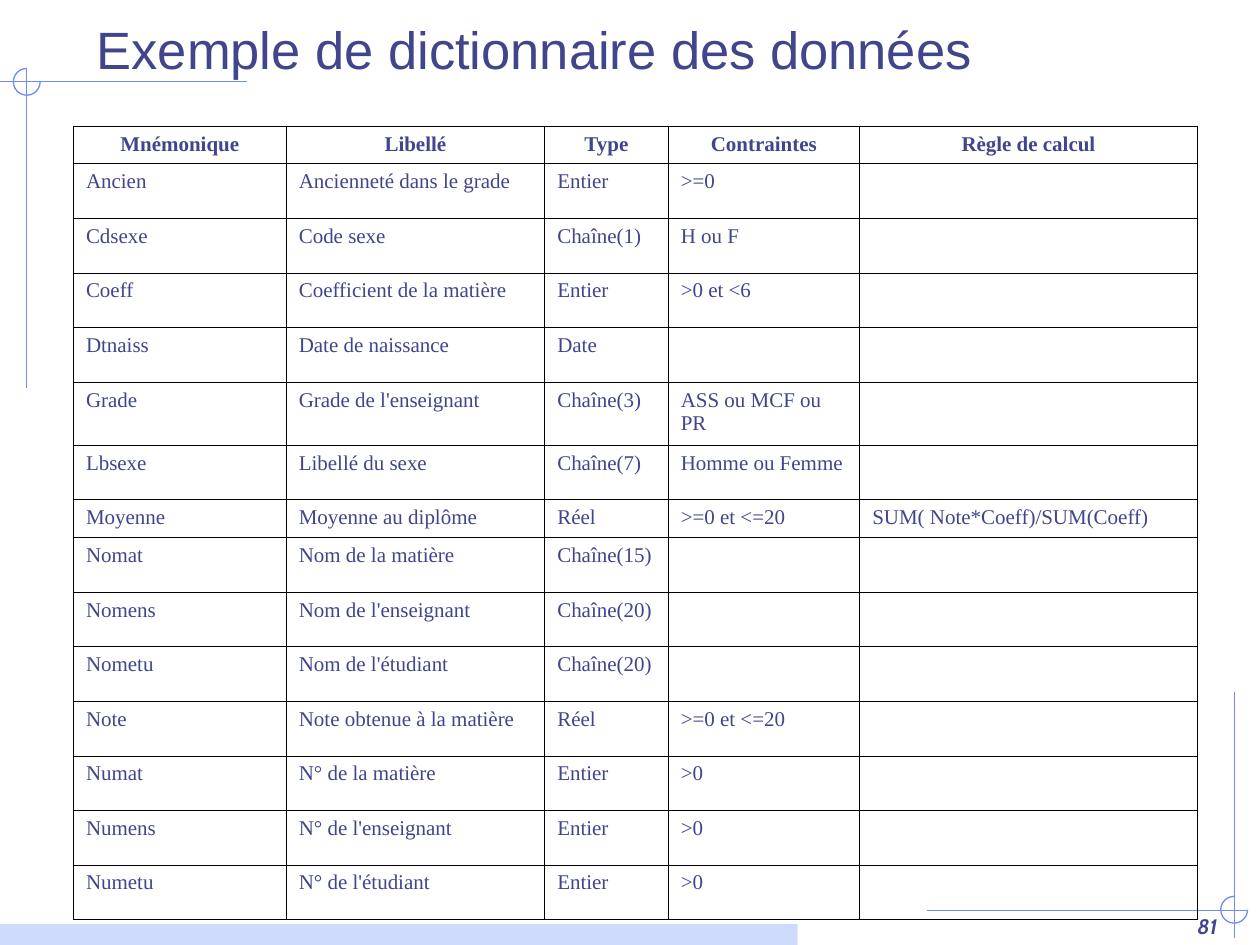
import pptx
import pptx.dml.color
import pptx.enum.shapes
import pptx.enum.text
import pptx.oxml
import pptx.oxml.ns
import pptx.util
from pptx.util import Cm

COLORS = {"text": "40458C", "guide": "6F89F7", "band": "CFDBFD", "border": "000000"}

HEADER = ["Mnémonique", "Libellé", "Type", "Contraintes", "Règle de calcul"]
ENTRIES = [
    ["Ancien", "Ancienneté dans le grade", "Entier", ">=0", ""],
    ["Cdsexe", "Code sexe", "Chaîne(1)", "H ou F", ""],
    ["Coeff", "Coefficient de la matière", "Entier", ">0 et <6", ""],
    ["Dtnaiss", "Date de naissance", "Date", "", ""],
    ["Grade", "Grade de l'enseignant", "Chaîne(3)", "ASS ou MCF ou PR", ""],
    ["Lbsexe", "Libellé du sexe", "Chaîne(7)", "Homme ou Femme", ""],
    ["Moyenne", "Moyenne au diplôme", "Réel", ">=0 et <=20", "SUM( Note*Coeff)/SUM(Coeff)"],
    ["Nomat", "Nom de la matière", "Chaîne(15)", "", ""],
    ["Nomens", "Nom de l'enseignant", "Chaîne(20)", "", ""],
    ["Nometu", "Nom de l'étudiant", "Chaîne(20)", "", ""],
    ["Note", "Note obtenue à la matière", "Réel", ">=0 et <=20", ""],
    ["Numat", "N° de la matière", "Entier", ">0", ""],
    ["Numens", "N° de l'enseignant", "Entier", ">0", ""],
    ["Numetu", "N° de l'étudiant", "Entier", ">0", ""],
]
COLUMN_WIDTHS = [4.29, 5.21, 2.49, 3.86, 6.81]
ROW_HEIGHT = 1.1
SPECIAL_HEIGHTS = {"Mnémonique": 0.76, "Moyenne": 0.76, "Grade": 1.27}


def color(name):
    return pptx.dml.color.RGBColor.from_string(COLORS[name])


def style_paragraph(para, font_name, size, bold=False, italic=False, align="LEFT"):
    para.alignment = getattr(pptx.enum.text.PP_ALIGN, align)
    font = para.font
    font.name = font_name
    font.size = pptx.util.Pt(size)
    font.bold = bold
    font.italic = italic
    font.color.rgb = color("text")


def add_guide(page, x1, y1, x2, y2):
    line = page.shapes.add_connector(
        pptx.enum.shapes.MSO_CONNECTOR.STRAIGHT, Cm(x1), Cm(y1), Cm(x2), Cm(y2))
    line.line.color.rgb = color("guide")
    line.line.width = pptx.util.Pt(0.75)
    properties = line._element.spPr
    properties.append(properties.makeelement(pptx.oxml.ns.qn("a:effectLst"), {}))


def add_guide_arc(page, left, top, size=0.54):
    arc = page.shapes.add_shape(
        pptx.enum.shapes.MSO_SHAPE.ARC, Cm(left), Cm(top), Cm(size), Cm(size))
    # Three quarters of a circle, open at the top right (0.6 units per degree)
    arc.adjustments[0] = 0
    arc.adjustments[1] = 270 * 0.6
    arc.shadow.inherit = False
    arc.fill.background()
    arc.line.color.rgb = color("guide")
    arc.line.width = pptx.util.Pt(0.75)


def add_band(page, left, top, width, height):
    band = page.shapes.add_shape(
        pptx.enum.shapes.MSO_SHAPE.RECTANGLE, Cm(left), Cm(top), Cm(width), Cm(height))
    band.shadow.inherit = False
    band.fill.solid()
    band.fill.fore_color.rgb = color("band")
    band.line.fill.background()


def add_text(page, text, left, top, width, height, **style):
    box = page.shapes.add_textbox(Cm(left), Cm(top), Cm(width), Cm(height))
    frame = box.text_frame
    frame.word_wrap = True
    frame.vertical_anchor = pptx.enum.text.MSO_ANCHOR.BOTTOM
    frame.text = text
    style_paragraph(frame.paragraphs[0], **style)


def set_borders(cell, points=0.45):
    properties = cell._tc.get_or_add_tcPr()
    for index, side in enumerate(("lnL", "lnR", "lnT", "lnB")):
        border = pptx.oxml.parse_xml(
            f'<a:{side} {pptx.oxml.ns.nsdecls("a")} w="{pptx.util.Pt(points)}">'
            f'<a:solidFill><a:srgbClr val="{COLORS["border"]}"/></a:solidFill></a:{side}>')
        properties.insert(index, border)


def add_dictionary(page, left, top):
    rows = [HEADER] + ENTRIES
    heights = [SPECIAL_HEIGHTS.get(row[0], ROW_HEIGHT) for row in rows]
    table = page.shapes.add_table(
        len(rows), len(HEADER), Cm(left), Cm(top),
        Cm(sum(COLUMN_WIDTHS)), Cm(sum(heights))).table
    table.first_row = False
    table.horz_banding = False
    for column, width in zip(table.columns, COLUMN_WIDTHS):
        column.width = Cm(width)
    for row, height, texts in zip(table.rows, heights, rows):
        row.height = Cm(height)
        is_header = texts is HEADER
        for cell, text in zip(row.cells, texts):
            cell.fill.background()
            set_borders(cell)
            cell.text = text
            style_paragraph(cell.text_frame.paragraphs[0], "Times New Roman", 12,
                            bold=is_header, align="CENTER" if is_header else "LEFT")


def main():
    deck = pptx.Presentation()
    deck.slide_width, deck.slide_height = Cm(25.4), Cm(19.05)
    page = deck.slides.add_slide(deck.slide_layouts[6])

    # Guides at the top left
    add_guide(page, 4.98, 1.65, 0, 1.65)
    add_guide(page, 0.53, 1.39, 0.53, 7.83)
    add_guide_arc(page, 0.27, 1.38)

    # Guides at the bottom right
    add_guide(page, 24.88, 13.94, 24.88, 18.9)
    add_guide(page, 25.15, 18.35, 18.69, 18.35)
    add_guide_arc(page, 24.61, 18.07)

    # Footer band and page number
    add_band(page, 0, 18.63, 16.08, 0.42)
    add_text(page, "81", 19.51, 17.78, 5.28, 1.27,
             font_name="Cabin", size=12, bold=True, italic=True, align="RIGHT")

    # Title and data dictionary
    add_text(page, "Exemple de dictionnaire des données", 1.7, 0.03, 23.06, 1.7,
             font_name="Arial", size=30)
    add_dictionary(page, 1.48, 2.54)

    deck.save("out.pptx")


if __name__ == "__main__":
    main()
